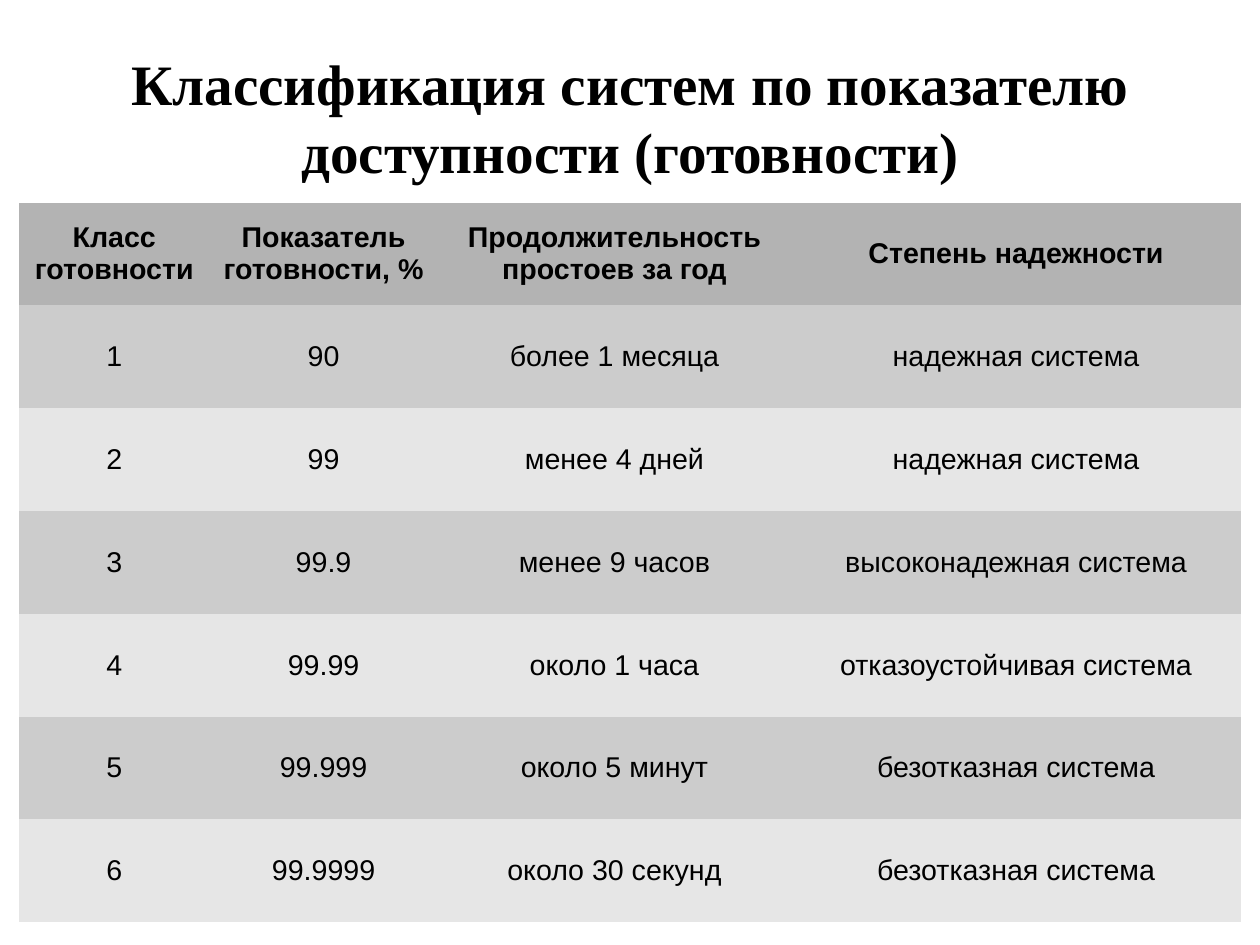
from pptx import Presentation
from pptx.dml.color import RGBColor
from pptx.enum.text import MSO_ANCHOR, MSO_AUTO_SIZE, PP_ALIGN
from pptx.util import Cm, Pt

MIDDLE = MSO_ANCHOR.MIDDLE
CENTER = PP_ALIGN.CENTER
FIXED = MSO_AUTO_SIZE.NONE
TITLE_ONLY = 5
NO_GRID_STYLE = "{2D5ABB26-0587-4C30-8999-92F81FD0307C}"

COLORS = {"text": "000000", "header": "B3B3B3", "odd": "CCCCCC", "even": "E6E6E6"}
TITLE_FONT = {"name": "Times New Roman", "size": Pt(36), "bold": True}
HEADER_FONT = {"name": "Arial", "size": Pt(18), "bold": True}
BODY_FONT = {**HEADER_FONT, "bold": False}
TITLE_FRAME = {
    "margin_left": 0, "margin_top": 0, "margin_right": 0, "margin_bottom": 0,
    "vertical_anchor": MIDDLE, "word_wrap": True, "auto_size": FIXED,
}

TITLE = "Классификация систем по показателю доступности (готовности)"
COLUMN_WIDTHS = [4.22, 5.08, 7.85, 10]
CLASSES = [
    ["Класс готовности", "Показатель готовности, %",
     "Продолжительность простоев за год", "Степень надежности"],
    ["1", "90", "более 1 месяца", "надежная система"],
    ["2", "99", "менее 4 дней", "надежная система"],
    ["3", "99.9", "менее 9 часов", "высоконадежная система"],
    ["4", "99.99", "около 1 часа", "отказоустойчивая система"],
    ["5", "99.999", "около 5 минут", "безотказная система"],
    ["6", "99.9999", "около 30 секунд", "безотказная система"],
]


def apply_format(target, values):
    for attribute, value in values.items():
        setattr(target, attribute, value)


def write_centered(frame, wording, font_values):
    frame.text = wording
    paragraph = frame.paragraphs[0]
    paragraph.alignment = CENTER
    font = paragraph.runs[0].font
    apply_format(font, font_values)
    font.color.rgb = RGBColor.from_string(COLORS["text"])


def place_title(slide, left, top, width, height):
    heading = slide.shapes.title
    apply_format(heading, {"left": Cm(left), "top": Cm(top),
                           "width": Cm(width), "height": Cm(height)})
    apply_format(heading.text_frame, TITLE_FRAME)
    write_centered(heading.text_frame, TITLE, TITLE_FONT)


def place_class_table(slide, left, top, height):
    frame = slide.shapes.add_table(
        len(CLASSES), len(COLUMN_WIDTHS),
        Cm(left), Cm(top), Cm(sum(COLUMN_WIDTHS)), Cm(height))
    availability = frame.table
    availability.horz_banding = False
    availability._tbl.tblPr.find("{*}tableStyleId").text = NO_GRID_STYLE
    for column, width in zip(availability.columns, COLUMN_WIDTHS):
        column.width = Cm(width)
    for number, (row, wordings) in enumerate(zip(availability.rows, CLASSES)):
        row.height = Cm(height / len(CLASSES))
        band = "header" if number == 0 else "odd" if number % 2 else "even"
        font_values = BODY_FONT if number else HEADER_FONT
        for cell, wording in zip(row.cells, wordings):
            cell.fill.solid()
            cell.fill.fore_color.rgb = RGBColor.from_string(COLORS[band])
            cell.vertical_anchor = MIDDLE
            write_centered(cell.text_frame, wording, font_values)


def main():
    presentation = Presentation()
    presentation.slide_width = Cm(28)
    presentation.slide_height = Cm(21)
    slide = presentation.slides.add_slide(presentation.slide_layouts[TITLE_ONLY])
    place_title(slide, 1.4, 0.84, 25.2, 3.5)
    place_class_table(slide, 0.43, 4.5, 16)
    presentation.save("out.pptx")


if __name__ == "__main__":
    main()
